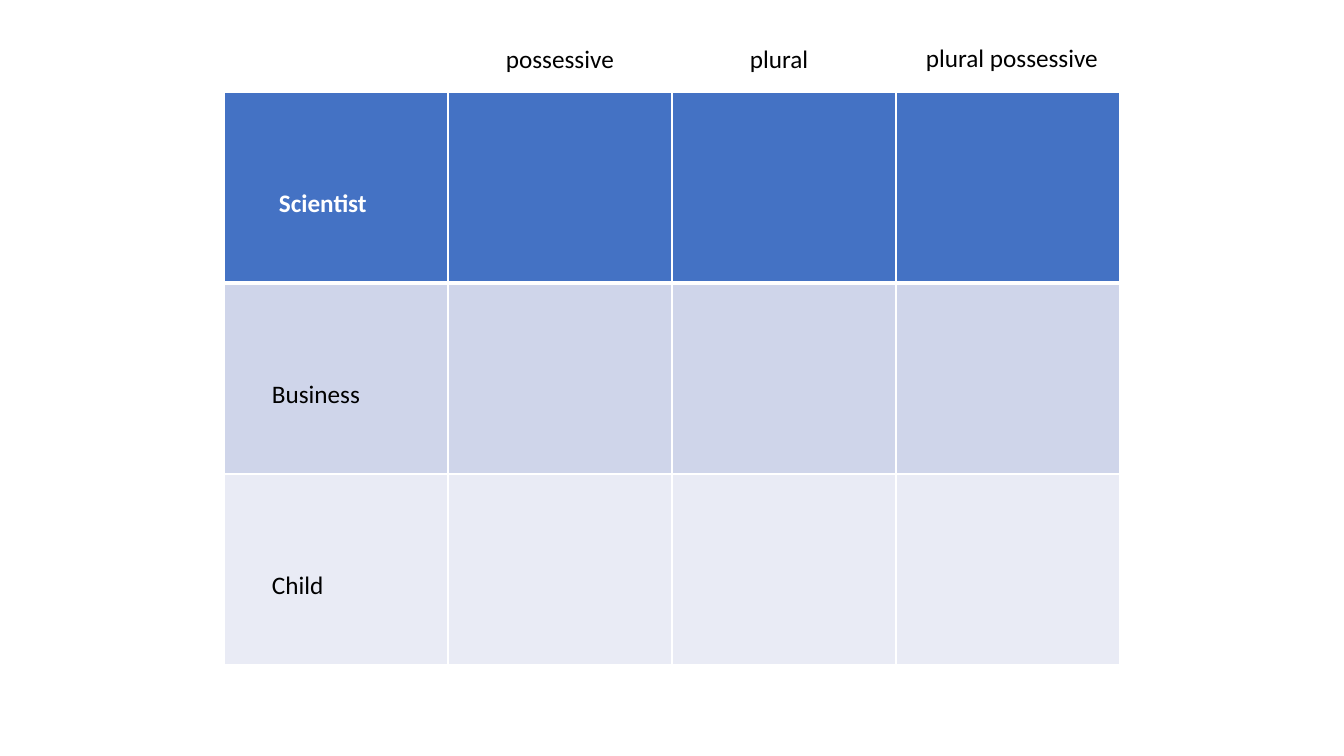
from lxml.etree import SubElement
from pptx import Presentation
from pptx.dml.color import RGBColor
from pptx.oxml.ns import qn
from pptx.util import Pt

EMU_PER_PX = 914400 / 100.8
FONT = "Calibri"
COLORS = {
    "white": "FFFFFF",
    "black": "000000",
    "header": "4472C4",
    "band_dark": "CFD5EA",
    "band_light": "E9EBF5",
}


def px(length):
    return round(length * EMU_PER_PX)


def write(text_frame, text, color="black", bold=False):
    text_frame.text = text
    font = text_frame.paragraphs[0].runs[0].font
    font.name = FONT
    font.size = Pt(18)
    font.bold = bold
    font.color.rgb = RGBColor.from_string(COLORS[color])


presentation = Presentation()
presentation.slide_width = px(1344)
presentation.slide_height = px(756)
slide = presentation.slides.add_slide(presentation.slide_layouts[6])

# Word table: noun, fill, text color, left margin
NOUNS = [
    ("Scientist", "header", "white", 55),
    ("Business", "band_dark", "black", 48),
    ("Child", "band_light", "black", 48),
]
COLUMN_WIDTH, ROW_HEIGHT, COLUMN_COUNT = 224, 191, 4
table = slide.shapes.add_table(
    len(NOUNS), COLUMN_COUNT, px(224), px(92),
    px(COLUMN_COUNT * COLUMN_WIDTH), px(len(NOUNS) * ROW_HEIGHT),
).table
for column in table.columns:
    column.width = px(COLUMN_WIDTH)

for row_index, (noun, fill, text_color, margin) in enumerate(NOUNS):
    is_header = row_index == 0
    table.rows[row_index].height = px(ROW_HEIGHT)
    border_widths = {
        "lnL": 1,
        "lnR": 1,
        "lnT": 3 if row_index == 1 else 1,
        "lnB": 3 if is_header else 1,
    }
    for cell in table.rows[row_index].cells:
        # White borders
        properties = cell._tc.get_or_add_tcPr()
        for side, width in border_widths.items():
            line = SubElement(properties, qn(f"a:{side}"), w=str(Pt(width)))
            line_fill = SubElement(line, qn("a:solidFill"))
            SubElement(line_fill, qn("a:srgbClr"), val=COLORS["white"])
        cell.fill.solid()
        cell.fill.fore_color.rgb = RGBColor.from_string(COLORS[fill])

    # Noun in the first column
    noun_cell = table.cell(row_index, 0)
    noun_cell.margin_left = px(margin)
    noun_cell.margin_top = px(97)
    write(noun_cell.text_frame, noun, text_color, bold=is_header)

# Column labels above the table
LABELS = [
    ("possessive", 496, 38, 153),
    ("plural", 740, 38, 132),
    ("plural possessive", 916, 37, 228),
]
for label, left, top, width in LABELS:
    text_box = slide.shapes.add_textbox(px(left), px(top), px(width), px(40))
    text_box.text_frame.word_wrap = True
    write(text_box.text_frame, label)

presentation.save("out.pptx")
